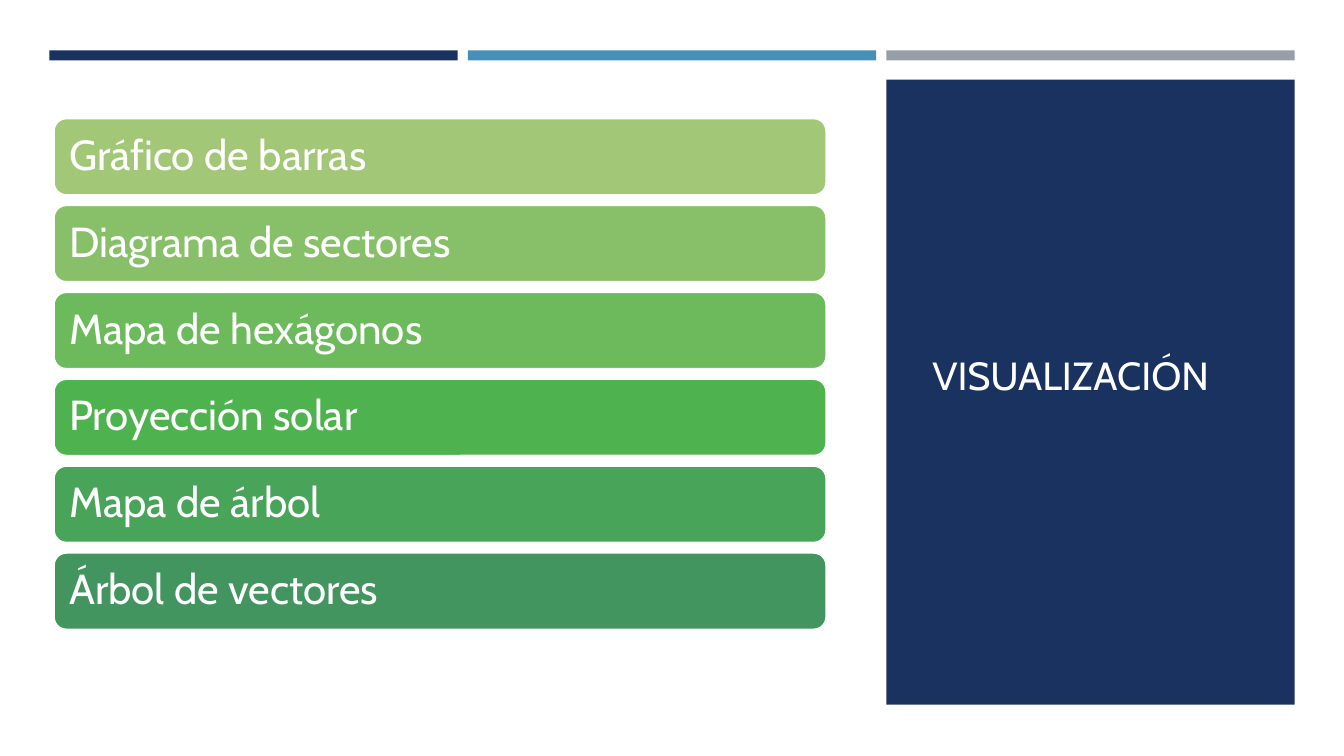
"""Build the visualization topics slide."""
from pptx import Presentation
from pptx.dml.color import RGBColor
from pptx.enum.shapes import MSO_SHAPE
from pptx.enum.text import MSO_ANCHOR, PP_ALIGN
from pptx.util import Inches, Pt

FONT = "Cabin"
WHITE = "FFFFFF"
NAVY = "1A3260"
COLUMN_LEFT, COLUMN_WIDTH, COLUMN_STEP = 0.49, 4.05, 4.15
TOPIC_TOP, TOPIC_HEIGHT, TOPIC_STEP = 1.17, 0.77, 0.862
STRIPES = [NAVY, "4590B8", "969FA7"]
TOPICS = [
    ("Gráfico de barras", "A2C777"),
    ("Diagrama de sectores", "88C069"),
    ("Mapa de hexágonos", "6CBA5B"),
    ("Proyección solar", "4EB34E"),
    ("Mapa de árbol", "48A458"),
    ("Árbol de vectores", "42955F"),
]


def color(value):
    """Turn a hex string into a colour."""
    return RGBColor.from_string(value)


def column_left(column):
    """Return the left edge of a slide column in inches."""
    return COLUMN_LEFT + column * COLUMN_STEP


def add_block(slide, box, fill, kind=MSO_SHAPE.RECTANGLE, outline=None):
    """Add a filled shape with an optional outline."""
    shape = slide.shapes.add_shape(kind, *map(Inches, box))
    shape.shadow.inherit = False
    shape.fill.solid()
    shape.fill.fore_color.rgb = color(fill)
    if outline:
        shape.line.color.rgb = color(outline)
        shape.line.width = Pt(2)
    else:
        shape.line.fill.background()
    return shape


def write_text(shape, text, size, font_color=WHITE, inset=0.1, spacing=1.0):
    """Write left-aligned, vertically centred text into a shape."""
    frame = shape.text_frame
    frame.word_wrap = True
    frame.vertical_anchor = MSO_ANCHOR.MIDDLE
    frame.margin_left = frame.margin_right = Inches(inset)
    paragraph = frame.paragraphs[0]
    paragraph.alignment = PP_ALIGN.LEFT
    paragraph.line_spacing = spacing
    run = paragraph.add_run()
    run.text = text
    run.font.name = FONT
    run.font.size = Pt(size)
    run.font.color.rgb = color(font_color)


def add_topic(slide, row, text, fill):
    """Add one rounded topic bar on its row."""
    box = (0.53, TOPIC_TOP + row * TOPIC_STEP, 7.67, TOPIC_HEIGHT)
    shape = add_block(slide, box, fill, MSO_SHAPE.ROUNDED_RECTANGLE, WHITE)
    write_text(shape, text, 30, inset=0.12, spacing=0.9)


def add_title_panel(slide, text):
    """Add the navy panel in the last column with its title."""
    add_block(slide, (column_left(2), 0.79, COLUMN_WIDTH, 6.2), NAVY)
    title = slide.shapes.add_textbox(*map(Inches, (9.15, 1.14, 3.34, 5.15)))
    write_text(title, text, 28, font_color="FFFEFF")


def main():
    """Create the slide and save it."""
    presentation = Presentation()
    presentation.slide_width = Inches(13.33)
    presentation.slide_height = Inches(7.5)
    slide = presentation.slides.add_slide(presentation.slide_layouts[6])
    for column, fill in enumerate(STRIPES):
        add_block(slide, (column_left(column), 0.5, COLUMN_WIDTH, 0.1), fill)
    add_title_panel(slide, "VISUALIZACIÓN")
    for row, (text, fill) in enumerate(TOPICS):
        add_topic(slide, row, text, fill)
    presentation.save("out.pptx")


if __name__ == "__main__":
    main()
